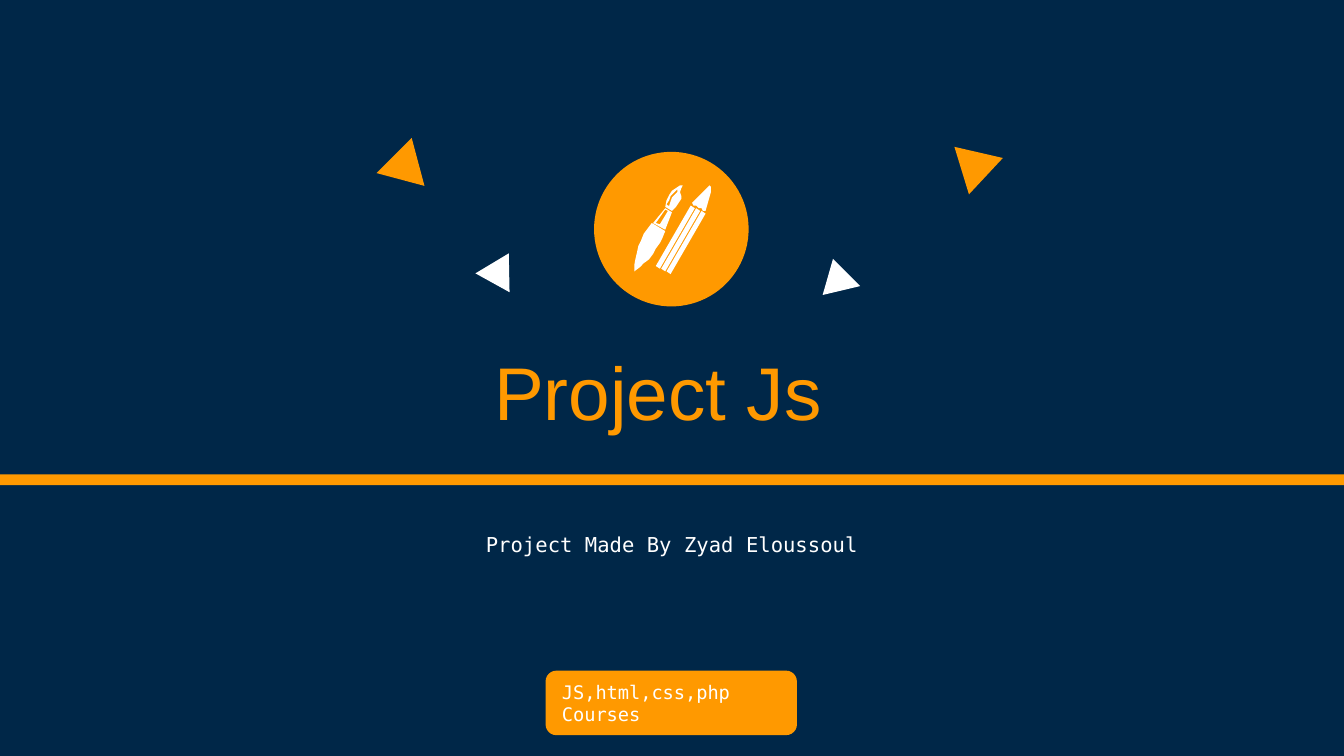
from dataclasses import dataclass

from pptx import Presentation
from pptx.dml.color import RGBColor
from pptx.enum.shapes import MSO_SHAPE
from pptx.enum.text import MSO_ANCHOR, MSO_AUTO_SIZE, PP_ALIGN
from pptx.util import Pt

PX = 9144  # EMU per px, 100 px to the inch
SLIDE_WIDTH = 1000 * PX
SLIDE_HEIGHT = SLIDE_WIDTH * 9 // 16
NAVY = RGBColor(0x00, 0x27, 0x48)
ORANGE = RGBColor(0xFF, 0x99, 0x00)
WHITE = RGBColor(0xFF, 0xFF, 0xFF)
MONO = "DejaVu Sans Mono"
RECT, ROUNDED = MSO_SHAPE.RECTANGLE, MSO_SHAPE.ROUNDED_RECTANGLE
OVAL, TRIANGLE = MSO_SHAPE.OVAL, MSO_SHAPE.ISOSCELES_TRIANGLE
CENTER, JUSTIFY = PP_ALIGN.CENTER, PP_ALIGN.JUSTIFY
TOP, MIDDLE = MSO_ANCHOR.TOP, MSO_ANCHOR.MIDDLE
NO_FIT = MSO_AUTO_SIZE.NONE


@dataclass(frozen=True)
class Box:
    left: int
    top: int
    width: int
    height: int

    def emu(self) -> tuple[int, ...]:
        return tuple(n * PX for n in (self.left, self.top, self.width, self.height))


@dataclass(frozen=True)
class Solid:
    preset: int
    box: Box
    color: RGBColor
    rotation: int = 0


@dataclass(frozen=True)
class Label:
    text: str
    size: int
    font: str
    color: RGBColor
    align: int
    anchor: int
    line_spacing: float = 1.0


BAR = Solid(RECT, Box(-1, 353, 1001, 8), ORANGE)
BADGE = Solid(OVAL, Box(442, 113, 115, 115), ORANGE)
COURSES = Solid(ROUNDED, Box(406, 499, 187, 48), ORANGE)
TRIANGLES = [
    Solid(TRIANGLE, Box(286, 111, 37, 32), ORANGE, 135),
    Solid(TRIANGLE, Box(358, 187, 29, 25), WHITE, 29),
    Solid(TRIANGLE, Box(706, 113, 37, 32), ORANGE, 193),
    Solid(TRIANGLE, Box(614, 197, 28, 25), WHITE, 106),
]

BRUSH = [
    # handle
    [(485, 166), (495, 172), (493, 177), (491, 181), (488, 185), (486, 189),
     (483, 193), (479, 196), (476, 199), (472, 202), (472, 197), (473, 192),
     (474, 188), (475, 183), (477, 179), (479, 174), (482, 170)],
    # bristles and their highlight
    [(495, 154), (496, 149), (498, 145), (500, 142), (503, 140), (506, 138),
     (508, 138), (507, 140), (506, 143), (507, 146), (507, 148), (505, 151),
     (503, 154), (500, 157)],
    [(503, 142), (504, 141), (504, 143), (502, 145), (500, 147), (499, 150),
     (498, 153), (497, 153), (496, 152), (498, 149), (499, 146), (501, 144)],
    # ferrule and its highlight
    [(486, 166), (495, 171), (500, 158), (495, 155)],
    [(488, 166), (491, 167), (497, 157), (495, 156)],
]
PENCIL_TIP = [
    [(529, 143), (525, 141), (526, 140), (528, 138), (529, 139)],
    [(515, 151), (516, 153), (518, 153), (520, 155), (522, 155), (523, 157),
     (525, 157), (529, 143), (525, 141)],
]
PENCIL_STRIPES = [
    [(x, y), (x - 3, y - 2), (x - 29, y + 43), (x - 26, y + 45)]
    for x, y in ((517, 155), (521, 157), (525, 159))
]


def paint(shape, color: RGBColor) -> None:
    shape.shadow.inherit = False
    shape.fill.solid()
    shape.fill.fore_color.rgb = color
    shape.line.fill.background()


def add_solid(slide, solid: Solid):
    shape = slide.shapes.add_shape(solid.preset, *solid.box.emu())
    shape.rotation = solid.rotation
    paint(shape, solid.color)
    return shape


def add_icon(slide, contours: list, color: RGBColor) -> None:
    """Draw all closed contours as one outline, so inner ones become holes."""
    builder = slide.shapes.build_freeform(*contours[0][0], scale=PX)
    builder.add_line_segments(contours[0][1:], close=True)
    for start, *rest in contours[1:]:
        builder.move_to(*start)
        builder.add_line_segments(rest, close=True)
    paint(builder.convert_to_shape(), color)


def write(shape, label: Label) -> None:
    frame = shape.text_frame
    frame.text = label.text
    paragraph = frame.paragraphs[0]
    font = paragraph.runs[0].font
    formats = (
        (frame, {"word_wrap": True, "auto_size": NO_FIT,
                 "vertical_anchor": label.anchor}),
        (paragraph, {"alignment": label.align, "space_before": Pt(0),
                     "line_spacing": label.line_spacing}),
        (font, {"size": Pt(label.size), "name": label.font}),
    )
    for target, values in formats:
        for attribute, value in values.items():
            setattr(target, attribute, value)
    font.color.rgb = label.color


def place(shape, box: Box) -> None:
    for attribute, value in zip(("left", "top", "width", "height"), box.emu()):
        setattr(shape, attribute, value)


def main() -> None:
    deck = Presentation()
    deck.slide_width, deck.slide_height = SLIDE_WIDTH, SLIDE_HEIGHT
    slide = deck.slides.add_slide(deck.slide_layouts[0])
    slide.background.fill.solid()
    slide.background.fill.fore_color.rgb = NAVY

    title, author = slide.placeholders
    place(title, Box(185, 252, 609, 77))
    write(title, Label("Project Js", 40, "Arial", ORANGE, CENTER, MIDDLE))
    place(author, Box(106, 382, 788, 38))
    write(author, Label("Project Made By Zyad Eloussoul", 11, MONO, WHITE,
                        CENTER, TOP, 1.5))

    add_solid(slide, BAR)
    courses = add_solid(slide, COURSES)
    write(courses, Label("JS,html,css,php Courses", 10, MONO, WHITE,
                         JUSTIFY, MIDDLE))
    add_solid(slide, BADGE)
    add_icon(slide, BRUSH + PENCIL_TIP + PENCIL_STRIPES, WHITE)
    for triangle in TRIANGLES:
        add_solid(slide, triangle)

    deck.save("out.pptx")


if __name__ == "__main__":
    main()
